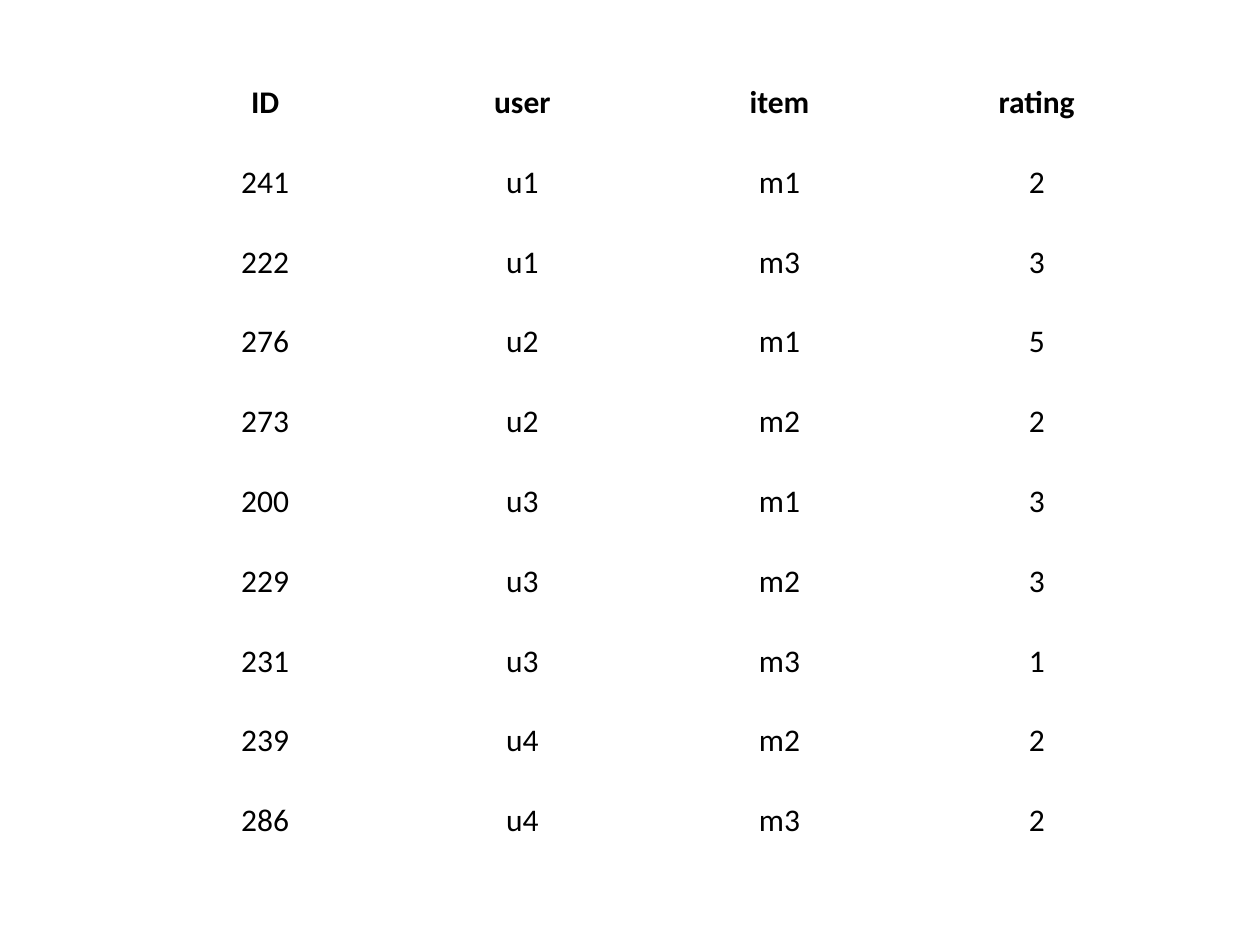
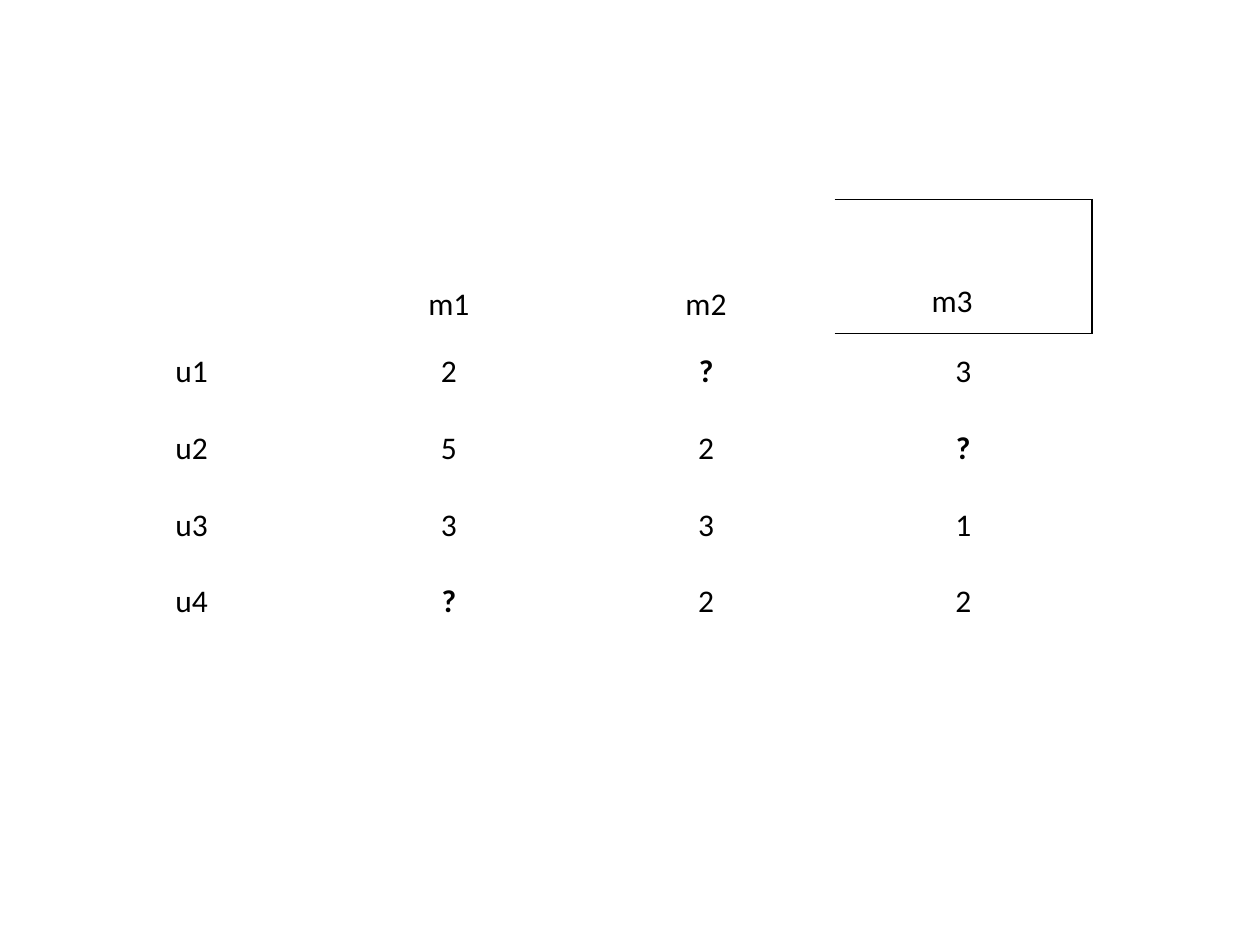
"""Build two slides: a list of ratings and the user-item matrix made from it."""
from lxml.etree import SubElement
from pptx import Presentation
from pptx.dml.color import RGBColor
from pptx.enum.text import MSO_ANCHOR, PP_ALIGN
from pptx.oxml import parse_xml
from pptx.oxml.ns import nsdecls, qn
from pptx.util import Pt

BLACK = RGBColor(0, 0, 0)
FONT = {"name": "Calibri", "size": Pt(18)}
NO_STYLE = "{2D5ABB26-0587-4C30-8999-92F81FD0307C}"
COLUMN_WIDTH = 147

RATINGS = [
    ("ID", "user", "item", "rating"),
    ("241", "u1", "m1", "2"),
    ("222", "u1", "m3", "3"),
    ("276", "u2", "m1", "5"),
    ("273", "u2", "m2", "2"),
    ("200", "u3", "m1", "3"),
    ("229", "u3", "m2", "3"),
    ("231", "u3", "m3", "1"),
    ("239", "u4", "m2", "2"),
    ("286", "u4", "m3", "2"),
]
MATRIX = [
    ("", "m1", "m2", "m3"),
    ("u1", "2", "?", "3"),
    ("u2", "5", "2", "?"),
    ("u3", "3", "3", "1"),
    ("u4", "?", "2", "2"),
]


def add_grid(prs, rows, left, top, heights, bold_words):
    """Add a slide with a plain, centred table and return the table."""
    s = prs.slides.add_slide(prs.slide_layouts[6])
    columns = len(rows[0])
    table = s.shapes.add_table(len(rows), columns, Pt(left), Pt(top),
                               Pt(COLUMN_WIDTH * columns), Pt(sum(heights))).table
    table.first_row = table.horz_banding = False
    table._tbl.tblPr.find(qn("a:tableStyleId")).text = NO_STYLE
    for column in table.columns:
        column.width = Pt(COLUMN_WIDTH)
    for i, (words, height) in enumerate(zip(rows, heights)):
        table.rows[i].height = Pt(height)
        for j, word in enumerate(words):
            cell = table.cell(i, j)
            cell.fill.background()
            cell.vertical_anchor = MSO_ANCHOR.MIDDLE
            p = cell.text_frame.paragraphs[0]
            p.alignment = PP_ALIGN.CENTER
            if word:
                r = p.add_run()
                r.text = word
                for key, value in FONT.items():
                    setattr(r.font, key, value)
                r.font.bold = word in bold_words
                r.font.color.rgb = BLACK
    return table


prs = Presentation()
prs.slide_width, prs.slide_height = Pt(720), Pt(540)

ratings = add_grid(prs, RATINGS, 78, 36, [45.6] * len(RATINGS), RATINGS[0])
for cell in ratings.iter_cells():
    for side in ("left", "right", "top", "bottom"):
        setattr(cell, f"margin_{side}", Pt(0))

matrix = add_grid(prs, MATRIX, 36, 114, [76.5] + [43.9] * 4, ("?",))
for j in range(1, 4):
    header = matrix.cell(0, j)
    header.vertical_anchor = MSO_ANCHOR.BOTTOM
    header.margin_bottom = Pt(5.5)

m3 = matrix.cell(0, 3)
m3.margin_left, m3.margin_bottom = Pt(55.4), Pt(7.2)
m3.text_frame.paragraphs[0].alignment = PP_ALIGN.LEFT
for position, edge in enumerate(("lnR", "lnT", "lnB")):
    line = parse_xml(f'<a:{edge} {nsdecls("a")} w="{Pt(1)}"/>')
    SubElement(SubElement(line, qn("a:solidFill")), qn("a:srgbClr"), val=str(BLACK))
    m3._tc.tcPr.insert(position, line)

prs.save("out.pptx")
